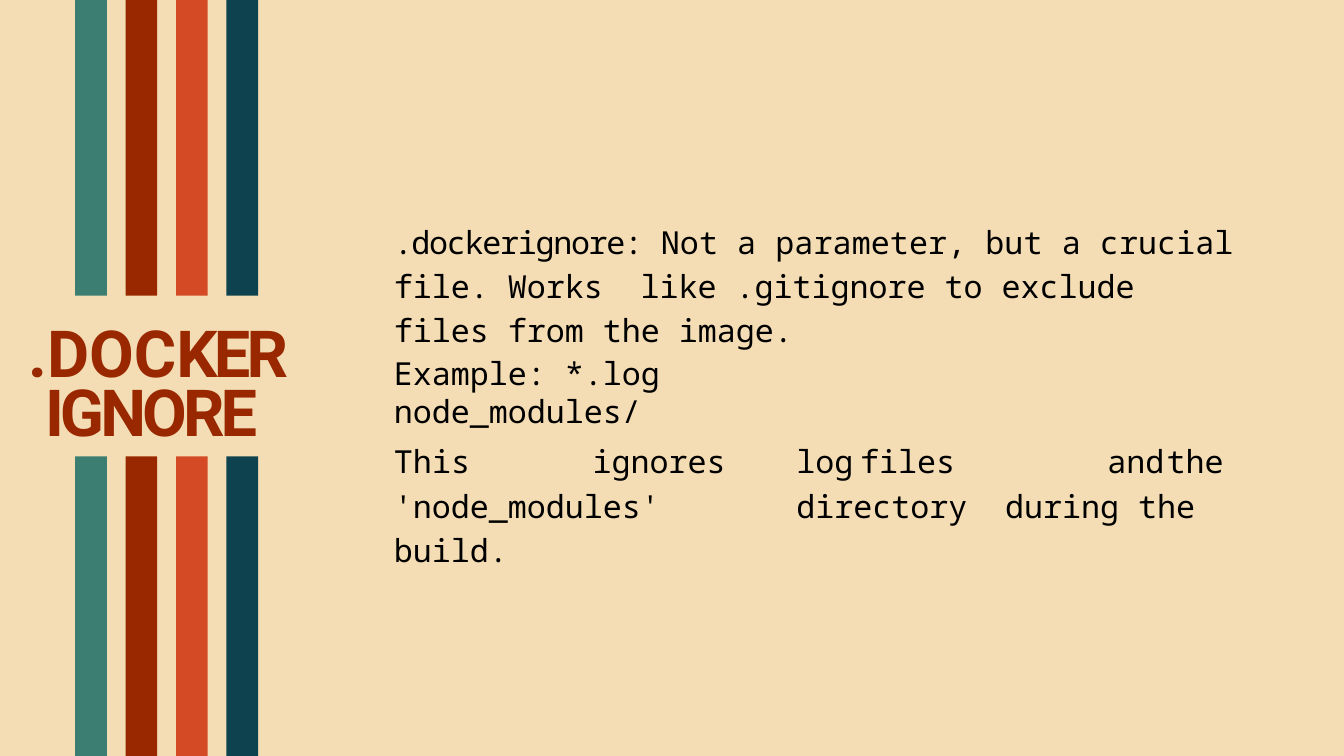
from lxml import etree
from pptx import Presentation
from pptx.dml.color import RGBColor
from pptx.enum.shapes import MSO_SHAPE
from pptx.enum.text import MSO_ANCHOR, MSO_AUTO_SIZE, PP_ALIGN
from pptx.oxml.ns import qn
from pptx.util import Inches, Pt

RECTANGLE = MSO_SHAPE.RECTANGLE
TOP = MSO_ANCHOR.TOP
NO_AUTOFIT = MSO_AUTO_SIZE.NONE
LEFT = PP_ALIGN.LEFT

SLIDE_W, SLIDE_H = 20, 11.25
SAND, RUST, BLACK = "F4DDB4", "992800", "000000"
STRIPE_COLORS = ["3C7E72", RUST, "D34A24", "0F424F"]
STRIPE_LEFT, STRIPE_PITCH, STRIPE_W = 1.12, 0.75, 0.47
STRIPE_BANDS = [(0, 4.4), (6.79, SLIDE_H)]
BODY_LEFT, BODY_W = 5.86, 12.66

HEADING = [(".", -5.2), ("DOC", 0), ("KER ", -4), ("IGNORE", -4.2)]
DEFINITION = [
    (".dockerignore: ", -1.4),
    ("Not a parameter, but a crucial ", 0.1),
    ("file. Works", 0),
    (" ", 20),
    ("like .gitignore to exclude files from the image.", 0),
]
EXAMPLE = [("Example: *.log node_modules/", 0)]
EFFECT = [
    ("This", 0.2),
    ("\tignores\tlog\tfiles\tand\tthe\t'node_modules'\tdirectory", 0),
    (" ", 20),
    ("during the build.", 0),
]
EFFECT_TABS = [1.13, 2.96, 5.99, 6.94, 10.62]


def color(hex_value):
    return RGBColor.from_string(hex_value)


def add_stripes(slide):
    for top, bottom in STRIPE_BANDS:
        for column, fill in enumerate(STRIPE_COLORS):
            stripe = slide.shapes.add_shape(
                RECTANGLE,
                Inches(STRIPE_LEFT + column * STRIPE_PITCH), Inches(top),
                Inches(STRIPE_W), Inches(bottom - top))
            stripe.shadow.inherit = False
            stripe.fill.solid()
            stripe.fill.fore_color.rgb = color(fill)
            stripe.line.fill.background()


def add_tabs(paragraph, stops):
    tab_list = etree.SubElement(paragraph._p.get_or_add_pPr(), qn("a:tabLst"))
    for stop in stops:
        etree.SubElement(tab_list, qn("a:tab"), pos=str(Inches(stop)), algn="l")


def write(frame, pieces, font, size, fill, spacing, inset, bold=False):
    frame.word_wrap = True
    frame.auto_size = NO_AUTOFIT
    frame.vertical_anchor = TOP
    frame.margin_left = frame.margin_right = frame.margin_bottom = 0
    frame.margin_top = Inches(inset)
    paragraph = frame.paragraphs[0]
    paragraph.alignment = LEFT
    paragraph.line_spacing = spacing
    paragraph.space_before = Pt(0)
    for text, tracking in pieces:
        run = paragraph.add_run()
        run.text = text
        run.font.name = font
        run.font.size = Pt(size)
        run.font.bold = bold
        run.font.color.rgb = color(fill)
        run._r.get_or_add_rPr().set("spc", str(round(tracking * 100)))
    return paragraph


def add_heading(slide):
    heading = slide.shapes.title
    heading.left, heading.top = Inches(0.41), Inches(4.57)
    heading.width, heading.height = Inches(4.16), Inches(2.06)
    paragraph = write(heading.text_frame, HEADING, "Roboto", 69.5, RUST,
                      0.75, 0.36, bold=True)
    indents = paragraph._p.get_or_add_pPr()
    indents.set("marL", str(Inches(0.26)))
    indents.set("indent", str(Inches(-0.25)))


def add_note(slide, pieces, top, width, height, spacing, tabs=()):
    note = slide.shapes.add_textbox(Inches(BODY_LEFT), Inches(top),
                                    Inches(width), Inches(height))
    paragraph = write(note.text_frame, pieces, "Noto Sans Mono", 34, BLACK,
                      spacing, 0.01)
    if tabs:
        add_tabs(paragraph, tabs)


def main():
    deck = Presentation()
    deck.slide_width, deck.slide_height = Inches(SLIDE_W), Inches(SLIDE_H)
    slide = deck.slides.add_slide(deck.slide_layouts[5])
    slide.background.fill.solid()
    slide.background.fill.fore_color.rgb = color(SAND)
    add_stripes(slide)
    add_heading(slide)
    add_note(slide, DEFINITION, 3.21, BODY_W, 1.34, 1.16)
    add_note(slide, EXAMPLE, 5.26, 6.68, 0.6, 1)
    add_note(slide, EFFECT, 6.48, BODY_W, 1.34, 1.16, EFFECT_TABS)
    deck.save("out.pptx")


if __name__ == "__main__":
    main()
